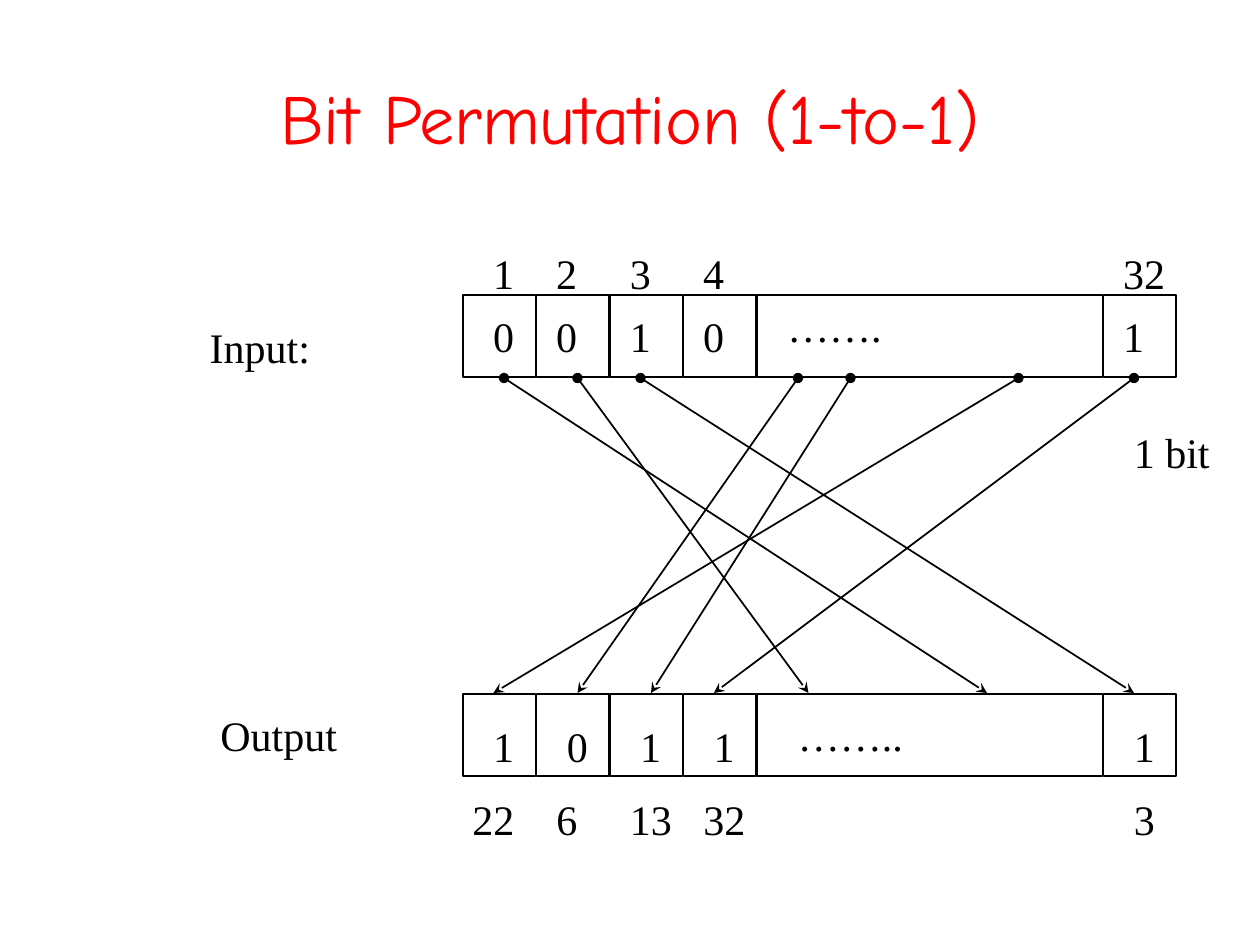
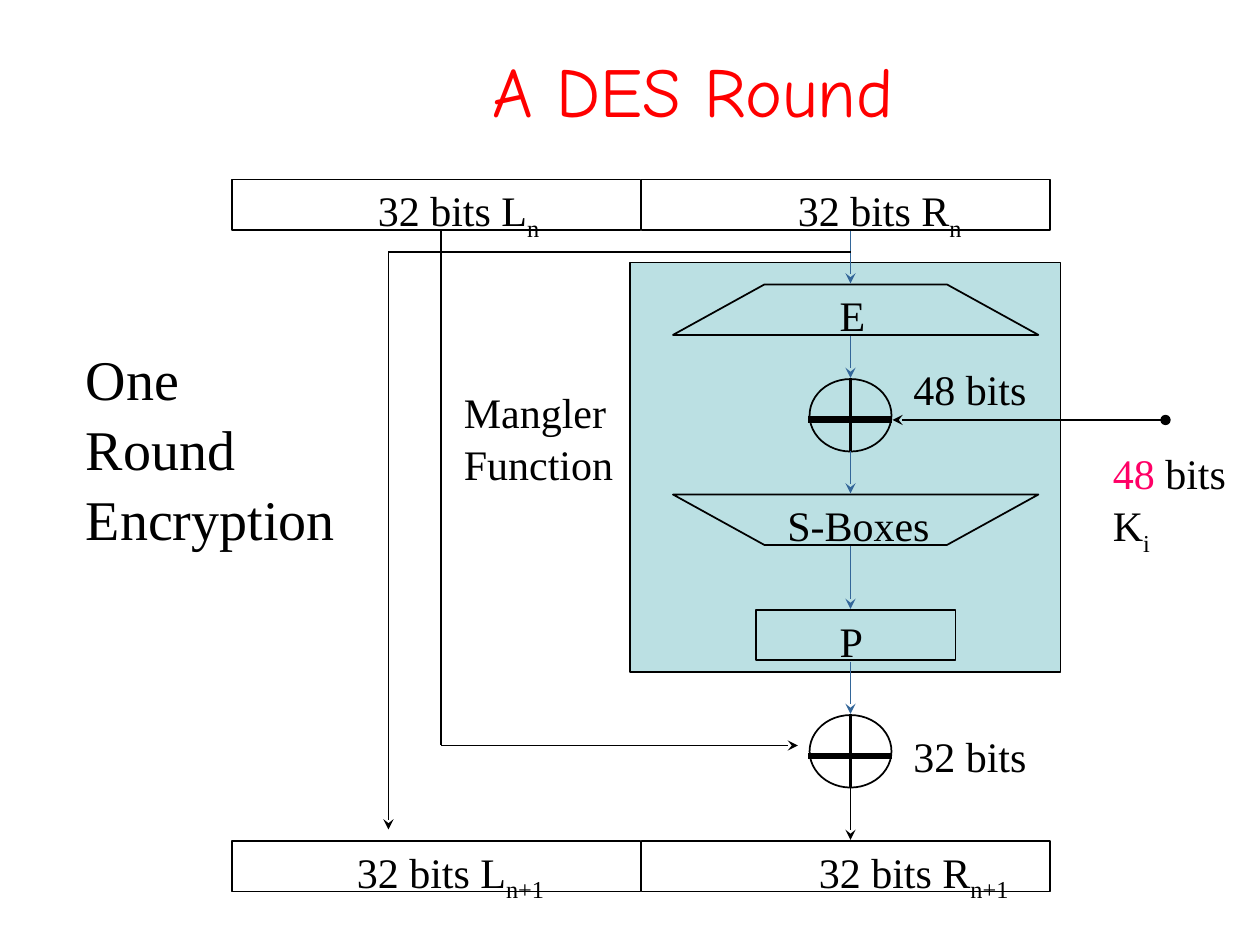
from lxml import etree
from pptx import Presentation
from pptx.dml.color import RGBColor
from pptx.enum.shapes import MSO_CONNECTOR, MSO_SHAPE
from pptx.enum.text import MSO_ANCHOR, PP_ALIGN
from pptx.oxml.ns import qn
from pptx.util import Inches, Pt

RECT, OVAL = MSO_SHAPE.RECTANGLE, MSO_SHAPE.OVAL
STRAIGHT = MSO_CONNECTOR.STRAIGHT
LEFT, CENTER = PP_ALIGN.LEFT, PP_ALIGN.CENTER
TOP, MIDDLE = MSO_ANCHOR.TOP, MSO_ANCHOR.MIDDLE
BLACK = RGBColor(0x00, 0x00, 0x00)
RED = RGBColor(0xFF, 0x00, 0x00)
PINK = RGBColor(0xFF, 0x00, 0x66)
BLUE = RGBColor(0x33, 0x66, 0x99)
TEAL = RGBColor(0xBB, 0xE0, 0xE3)
TITLE_FONT, BODY_FONT = "Comic Neue", "Times New Roman"
COLS, ROWS = 120, 90
INSET = 1.2


class Deck:
    def __init__(self):
        self.prs = Presentation()
        self.prs.slide_width, self.prs.slide_height = Inches(10), Inches(7.5)
        self.s = None

    def x(self, col):
        return round(self.prs.slide_width * col / COLS)

    def y(self, row):
        return round(self.prs.slide_height * row / ROWS)

    def box(self, col, row, cols, rows):
        return self.x(col), self.y(row), self.x(cols), self.y(rows)

    def slide(self, title, col, row, cols):
        self.s = self.prs.slides.add_slide(self.prs.slide_layouts[6])
        tf = self.text(title, col, row, cols, 15, 40, RED, TITLE_FONT, CENTER, MIDDLE)
        p = tf.paragraphs[0]
        p.space_before, p.space_after, p.line_spacing = Pt(12), Pt(3), 1.0

    def text(self, text, col, row, cols, rows=6, size=24, color=BLACK,
             font=BODY_FONT, align=LEFT, anchor=TOP):
        tf = self.s.shapes.add_textbox(*self.box(col, row, cols, rows)).text_frame
        tf.word_wrap, tf.vertical_anchor = True, anchor
        tf.text = text
        for p in tf.paragraphs:
            p.alignment, p.line_spacing = align, 1.04
            for r in p.runs:
                self.font(r, size, color, font)
        return tf

    def font(self, r, size=24, color=BLACK, font=BODY_FONT):
        r.font.size, r.font.name, r.font.color.rgb = Pt(size), font, color

    def subscript(self, p, text):
        r = p.add_run()
        r.text = text
        self.font(r)
        r._r.get_or_add_rPr().set("baseline", "-25000")

    def tabbed(self, words, stops, row):
        start = stops[0]
        tf = self.text("\t".join(words), start - INSET, row, 114 - start)
        tabs = etree.SubElement(tf.paragraphs[0]._p.get_or_add_pPr(), qn("a:tabLst"))
        for stop in stops[1:]:
            etree.SubElement(tabs, qn("a:tab"), pos=str(self.x(stop - start)), algn="l")

    def outline(self, sp, fill=None):
        sp.shadow.inherit = False
        if fill is None:
            sp.fill.background()
        else:
            sp.fill.solid()
            sp.fill.fore_color.rgb = fill
        sp.line.color.rgb, sp.line.width = BLACK, Pt(1)

    def shape(self, kind, col, row, cols, rows, fill=None):
        self.outline(self.s.shapes.add_shape(kind, *self.box(col, row, cols, rows)), fill)

    def trapezoid(self, wide_row, narrow_row):
        points = [(self.x(c), self.y(r)) for c, r in
                  ((64.1, wide_row), (98.9, wide_row), (90.2, narrow_row), (72.8, narrow_row))]
        fb = self.s.shapes.build_freeform(*points[0])
        fb.add_line_segments(points[1:], close=True)
        self.outline(fb.convert_to_shape())

    def line(self, c1, r1, c2, r2, color=BLACK, width=1, head=None, tail=None):
        cx = self.s.shapes.add_connector(STRAIGHT, self.x(c1), self.y(r1), self.x(c2), self.y(r2))
        cx.line.color.rgb, cx.line.width = color, Pt(width)
        ln = cx.line._get_or_add_ln()
        for tag, end in (("a:headEnd", head), ("a:tailEnd", tail)):
            if end:
                etree.SubElement(ln, qn(tag), type=end)
        etree.SubElement(cx._element.spPr, qn("a:effectLst"))

    def arrow(self, c1, r1, c2, r2, color=BLACK, head=None):
        self.line(c1, r1, c2, r2, color, head=head, tail="stealth")

    def xor(self, col, row):
        self.shape(OVAL, col - 3.9, row + 0.1, 7.8, 6.9)
        self.line(col - 4, row + 4, col + 4, row + 4, width=4)
        self.line(col, row, col, row + 7, width=2)


def permutation_slide(d):
    d.slide("Bit Permutation (1-to-1)", 6, 3.6, 108)
    edges = [44, 51, 58, 65, 72, 105, 112]
    for row in (28.1, 66.1):
        for left, right in zip(edges, edges[1:]):
            d.shape(RECT, left + 0.1, row, right - left - 0.1, 7.8)
    d.text("…….", 73.8, 27.8, 13)
    d.text("……..", 74.8, 66.8, 14)
    upper = [47, 53, 60, 67, 107]
    d.tabbed(["1", "2", "3", "4", "32"], upper, 22.8)
    d.tabbed(["0", "0", "1", "0", "1"], upper, 28.8)
    d.tabbed(["1", "0", "1", "1", "1"], [47, 54, 61, 68, 108], 67.8)
    d.tabbed(["22", "6", "13", "32", "3"], [45, 53, 60, 67, 108], 74.8)
    d.text("Input:", 18.8, 29.8, 13)
    d.text("Output", 19.8, 66.8, 15)
    d.text("1 bit", 106.8, 39.8, 11)
    for source, target in ((61, 108), (108, 68), (76, 55), (97, 47), (81, 62), (48, 94), (55, 77)):
        d.arrow(source, 36, target, 66, head="oval")


def round_slide(d):
    axis = 81
    d.shape(RECT, 60, 25, 41, 39, TEAL)
    d.slide_title = None
    for row in (17.1, 80.1):
        for col in (22.1, 61.1):
            d.shape(RECT, col, row, 38.9, 4.8)
    d.trapezoid(31.9, 27.1)
    d.trapezoid(47.1, 51.9)
    for row in (36, 68):
        d.xor(axis, row)
    d.shape(RECT, 72, 58.1, 19, 4.8)
    for start, end in ((22, 27), (32, 36), (43, 47), (52, 58), (63, 68)):
        d.arrow(axis, start, axis, end, BLUE)
    d.arrow(axis, 75, axis, 80)
    d.arrow(111, 40, 85, 40, head="oval")
    d.line(axis, 24, 37, 24)
    d.arrow(37, 24, 37, 79)
    d.line(42, 22, 42, 71)
    d.arrow(42, 71, 76, 71)
    for half, index, col, row in (("L", "n", 34.8, 16.8), ("R", "n", 74.8, 16.8),
                                  ("L", "n+1", 32.8, 79.8), ("R", "n+1", 76.8, 79.8)):
        tf = d.text(f"32 bits {half}", col, row, 25)
        d.subscript(tf.paragraphs[0], index)
    for label, col, row, cols in (("48 bits", 85.8, 33.8, 14), ("32 bits", 85.8, 68.8, 14),
                                  ("E", 78.8, 26.8, 6), ("S-Boxes", 73.8, 46.8, 17),
                                  ("P", 78.8, 57.8, 6), ("Mangler\nFunction", 43, 36, 18)):
        d.text(label, col, row, cols)
    key = d.text("48", 104.8, 41.8, 14, 11.5, color=PINK)
    r = key.paragraphs[0].add_run()
    r.text = " bits"
    d.font(r)
    p = key.add_paragraph()
    p.text, p.line_spacing = "K", 1.04
    d.font(p.runs[0])
    d.subscript(p, "i")
    d.text("One Round\nEncryption", 7, 32, 26.4, 33, 32)


def main():
    d = Deck()
    permutation_slide(d)
    d.slide("A DES Round", 15, 1, 102)
    round_slide(d)
    d.prs.save("out.pptx")


if __name__ == "__main__":
    main()
